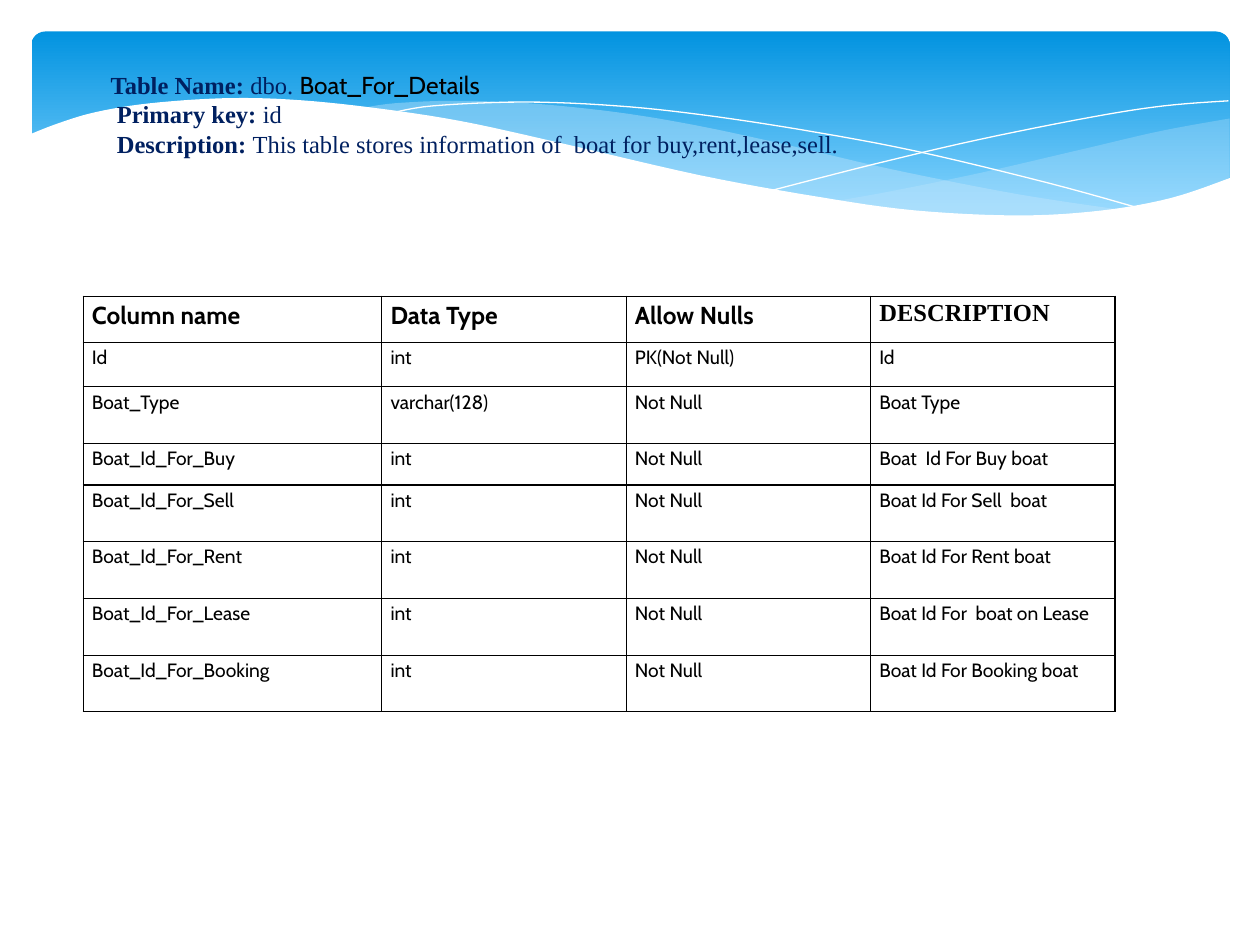
"""Build a slide that documents the columns of the Boat_For_Details table."""
from lxml import etree
from pptx import Presentation
from pptx.dml.color import RGBColor
from pptx.enum.shapes import MSO_SHAPE
from pptx.enum.text import MSO_ANCHOR
from pptx.oxml.ns import qn
from pptx.util import Inches, Pt

ROUNDED = MSO_SHAPE.ROUNDED_RECTANGLE
MIDDLE = MSO_ANCHOR.MIDDLE

COLOURS = {"deep": "0293E0", "sky": "83D3FE", "haze": "C6E7FC",
           "white": "FFFFFF", "navy": "002060", "black": "000000"}
SERIF, SANS = "Times New Roman", "Cabin"

SUMMARY = [
    [("Table Name: ", True, SERIF, "navy"), ("dbo. ", False, SERIF, "navy"),
     ("Boat_For_Details", False, SANS, "black")],
    [(" Primary key: ", True, SERIF, "navy"), ("id", False, SERIF, "navy")],
    [(" Description: ", True, SERIF, "navy"),
     ("This table stores information of  boat for buy,rent,lease,sell.", False, SERIF, "navy")],
]
COLUMNS = [
    ("Column name", "Data Type", "Allow Nulls", "DESCRIPTION"),
    ("Id", "int", "PK(Not Null)", "Id"),
    ("Boat_Type", "varchar(128)", "Not Null", "Boat Type"),
    ("Boat_Id_For_Buy", "int", "Not Null", "Boat  Id For Buy boat"),
    ("Boat_Id_For_Sell", "int", "Not Null", "Boat Id For Sell  boat"),
    ("Boat_Id_For_Rent", "int", "Not Null", "Boat Id For Rent boat"),
    ("Boat_Id_For_Lease", "int", "Not Null", "Boat Id For  boat on Lease"),
    ("Boat_Id_For_Booking", "int", "Not Null", "Boat Id For Booking boat"),
]
COLUMN_WIDTHS = [2.37, 1.94, 1.94, 1.94]
ROW_HEIGHTS = [0.37, 0.35, 0.45, 0.33, 0.45, 0.45, 0.45, 0.45]

WAVES = [
    {"edges": [[(9.76, 0.94), (9.21, 1.04), (8.61, 1.18), (7.79, 1.37), (7.06, 1.52), (6.61, 1.6)],
               [(6.61, 1.6), (7.19, 1.67), (7.81, 1.72), (8.35, 1.72), (8.89, 1.66),
                (9.35, 1.56), (9.76, 1.41)]],
     "fill": "haze", "alpha": 29},
    {"edges": [[(8.93, 1.67), (8.07, 1.54), (7.06, 1.34), (6.29, 1.16), (5.55, 1), (4.89, 0.89),
                (4.2, 0.82), (3.61, 0.8), (3.13, 0.82), (2.86, 0.86)],
               [(2.86, 0.86), (3.62, 0.97), (4.49, 1.16), (5.66, 1.43), (6.5, 1.58), (7.22, 1.68),
                (7.85, 1.72), (8.38, 1.72), (8.93, 1.67)]],
     "fill": "haze", "alpha": 40},
    {"edges": [[(3.09, 0.9), (3.44, 0.84), (4.16, 0.81), (4.89, 0.84), (5.56, 0.91), (6.36, 1.03),
                (7.27, 1.2), (8.31, 1.45), (9.07, 1.66)]], "line": "white"},
    {"edges": [[(6.13, 1.51), (6.95, 1.3), (7.76, 1.11), (8.66, 0.93), (9.24, 0.84), (9.75, 0.8)]],
     "line": "white"},
    {"edges": [[(9.77, 1.41), (9.3, 1.57), (8.75, 1.67), (8.09, 1.71), (7.26, 1.67), (6.48, 1.56),
                (5.55, 1.39), (4.47, 1.14), (3.65, 0.96), (2.92, 0.85), (2.3, 0.79), (1.77, 0.78),
                (1.19, 0.82), (0.76, 0.89), (0.46, 0.98), (0.23, 1.07)],
               [(0.23, 2.24), (9.77, 2.24)]],
     "fill": "white", "alpha": 100},
]


def colour(name):
    return RGBColor.from_string(COLOURS[name])


def smooth(knots, steps=6):
    padded = [knots[0], *knots, knots[-1]]
    curve = [knots[0]]
    for a, b, c, d in zip(padded, padded[1:], padded[2:], padded[3:]):
        for step in range(1, steps + 1):
            t = step / steps
            curve.append(tuple(
                q + t / 2 * (r - p + t * (2*p - 5*q + 4*r - s + t * (3*q - p - 3*r + s)))
                for p, q, r, s in zip(a, b, c, d)))
    return curve


def draw_wave(shapes, edges, fill=None, alpha=100, line=None):
    points = [(Inches(x), Inches(y)) for edge in edges for x, y in smooth(edge)]
    builder = shapes.build_freeform(*points[0])
    builder.add_line_segments(points[1:], close=fill is not None)
    wave = builder.convert_to_shape()
    wave.shadow.inherit = False
    if fill:
        wave.fill.solid()
        wave.fill.fore_color.rgb = colour(fill)
        tint = wave.fill._xPr.find(".//" + qn("a:srgbClr"))
        etree.SubElement(tint, qn("a:alpha"), val=str(alpha * 1000))
        wave.line.fill.background()
    else:
        wave.fill.background()
        wave.line.color.rgb = colour(line)
        wave.line.width = Pt(0)


def draw_banner(shapes):
    banner = shapes.add_shape(ROUNDED, Inches(0.25), Inches(0.25), Inches(9.51), Inches(1.56))
    banner.adjustments[0] = 0.07
    banner.shadow.inherit = False
    banner.line.fill.background()
    banner.fill.gradient()
    banner.fill.gradient_angle = 270
    for stop, name, position in zip(banner.fill.gradient_stops, ("deep", "sky"), (0, 0.9)):
        stop.color.rgb = colour(name)
        stop.position = position
    for wave in WAVES:
        draw_wave(shapes, **wave)


def add_run(paragraph, text, size, bold, font, ink):
    run = paragraph.add_run()
    run.text = text
    run.font.size, run.font.bold, run.font.name = Pt(size), bold, font
    run.font.color.rgb = colour(ink)


def write_summary(shapes):
    frame = shapes.add_textbox(Inches(0.53), Inches(0.5), Inches(8.25), Inches(0.81)).text_frame
    frame.word_wrap = True
    frame.vertical_anchor = MIDDLE
    for index, parts in enumerate(SUMMARY):
        paragraph = frame.add_paragraph() if index else frame.paragraphs[0]
        paragraph._p.get_or_add_pPr().set("marL", str(Inches(0.25)))
        for text, bold, font, ink in parts:
            add_run(paragraph, text, 14, bold, font, ink)


def outline(cell):
    properties = cell._tc.get_or_add_tcPr()
    for side in ("lnL", "lnR", "lnT", "lnB"):
        border = etree.SubElement(properties, qn(f"a:{side}"), w=str(Pt(0.75)))
        paint = etree.SubElement(border, qn("a:solidFill"))
        etree.SubElement(paint, qn("a:srgbClr"), val=COLOURS["black"])


def write_columns(shapes):
    grid = shapes.add_table(len(COLUMNS), len(COLUMN_WIDTHS), Inches(0.66), Inches(2.35),
                            Inches(sum(COLUMN_WIDTHS)), Inches(sum(ROW_HEIGHTS))).table
    grid.first_row = grid.horz_banding = False
    for column, width in zip(grid.columns, COLUMN_WIDTHS):
        column.width = Inches(width)
    for row, height, texts in zip(grid.rows, ROW_HEIGHTS, COLUMNS):
        row.height = Inches(height)
        heading = texts is COLUMNS[0]
        for cell, text in zip(row.cells, texts):
            cell.margin_left = cell.margin_right = Inches(0.07)
            cell.margin_top = cell.margin_bottom = 0
            outline(cell)
            cell.fill.background()
            paragraph = cell.text_frame.paragraphs[0]
            paragraph.line_spacing = 1.15
            font = SERIF if text == "DESCRIPTION" else SANS
            add_run(paragraph, text, 14 if heading else 11, heading, font, "black")


def main():
    deck = Presentation()
    deck.slide_width, deck.slide_height = Inches(10), Inches(7.5)
    shapes = deck.slides.add_slide(deck.slide_layouts[6]).shapes
    draw_banner(shapes)
    write_summary(shapes)
    write_columns(shapes)
    deck.save("out.pptx")


if __name__ == "__main__":
    main()
